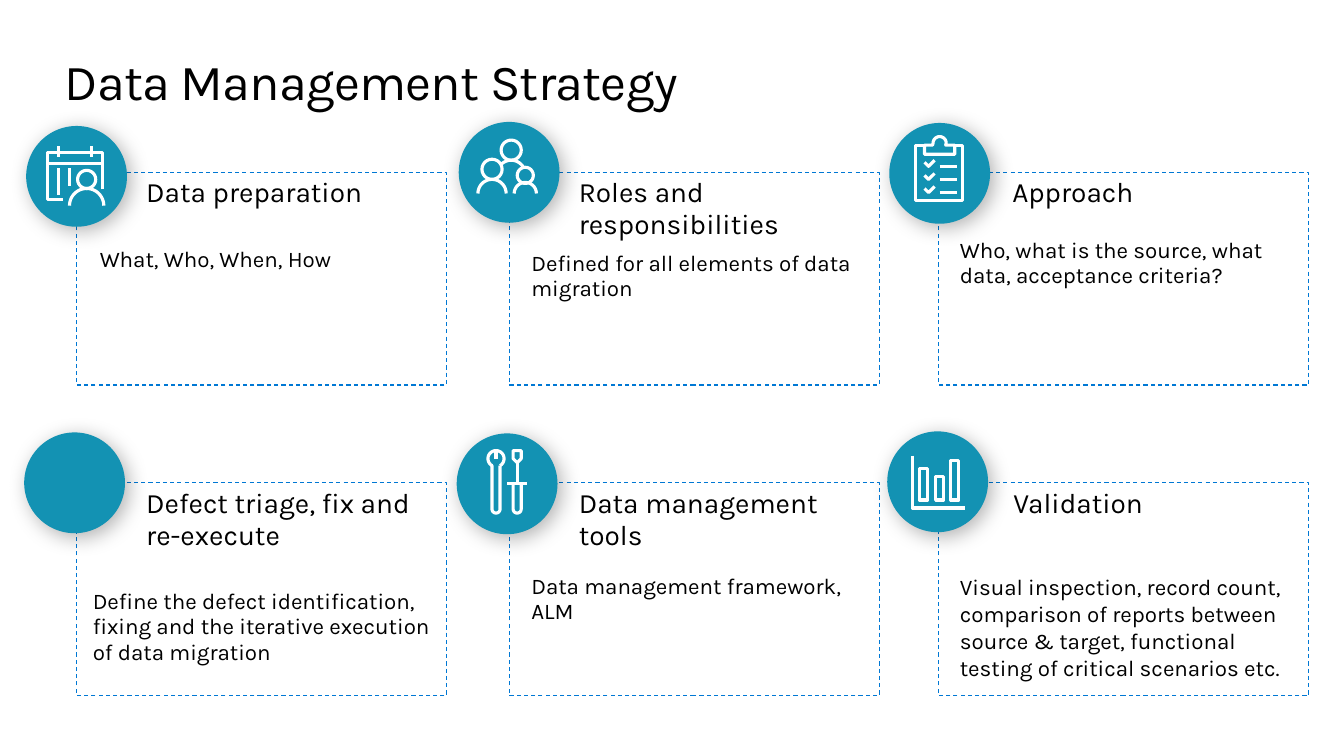
from dataclasses import dataclass
from math import cos, radians, sin

from lxml.etree import SubElement
from pptx import Presentation
from pptx.dml.color import RGBColor
from pptx.enum.dml import MSO_LINE_DASH_STYLE as Dash
from pptx.enum.shapes import MSO_SHAPE as Shape
from pptx.enum.text import MSO_ANCHOR as Anchor, MSO_AUTO_SIZE as AutoSize, PP_ALIGN as Align
from pptx.oxml.ns import qn
from pptx.util import Emu, Pt


@dataclass(frozen=True)
class Theme:
    font: str = "Karla"
    ink: str = "000000"
    border: str = "0078D4"
    disc: str = "1392B3"
    icon: str = "FFFFFF"
    title: int = 36
    heading: int = 20
    body: int = 16
    border_width: float = 0.75
    icon_width: float = 2.25


THEME = Theme()
COLUMNS, ROWS = (76, 505, 931), (171, 479)
CARD_W, CARD_H, DISC = 367, 211, 100


def px(n):
    """100 px to the inch."""
    return Emu(round(n * 9144))


def rgb(code):
    return RGBColor.from_string(code)


# Icon strokes, in px from the corner of the disc
def arc(cx, cy, r, start=0, end=360):
    angles = [radians(start + (end - start) * i / 24) for i in range(25)]
    return [(cx + r * cos(a), cy - r * sin(a)) for a in angles]


def calendar_icon():
    return [
        [(43, 42), (43, 60)], [(32, 42), (32, 68)],
        [(32, 20), (32, 31)], [(65, 20), (65, 31)], [(21, 37), (76, 37)],
        [(76, 63), (76, 26), (21, 26), (21, 73), (37, 73)],
        arc(60, 53, 9), arc(60, 79, 17, 0, 180),
    ]


def people_icon():
    heads = [arc(33, 47, 10), arc(52, 28, 10), arc(66, 53, 8)]
    shoulders = [arc(33, 71, 14, 0, 180), arc(52, 52, 14, 30, 138), arc(66, 71, 11, 0, 180)]
    return heads + shoulders


def checklist_icon():
    clip = arc(50, 20, 6.5, 0, 180) + [(43, 22), (35, 22), (35, 31), (65, 31),
                                       (65, 22), (56, 22), (56.5, 20)]
    board = [(35, 22), (26, 22), (26, 77), (73, 77), (73, 22), (65, 22)]
    strokes = [clip, board]
    for y in (43, 56, 69):
        strokes += [[(50, y), (67, y)], [(35, y - 4), (39, y), (45, y - 6)]]
    return strokes


def tools_icon():
    wrench = [(43, 32), (43, 75), *arc(39, 75, 4, 0, -180), (35, 32), *arc(39, 25, 8, 240, -60)]
    handle = [(64, 50), *arc(60, 75, 4, 0, -180), (56, 50)]
    blade = [(64, 17), (56, 17), (56, 25), (60, 29), (64, 25), (64, 17)]
    return [wrench, handle, blade, [(39, 17), (39, 25)],
            [(50, 50), (70, 50)], [(60, 50), (60, 28)]]


def chart_icon():
    bars = [[(x, 68), (x, top), (x + 8, top), (x + 8, 68), (x, 68)]
            for x, top in ((32, 37), (48, 45), (63, 29))]
    return bars + [[(25, 24), (25, 76), (77, 76)]]


# Heading, heading x, disc offset, icon, body, body box and line spacing;
# every offset is taken from the corner of the card
CARDS = [
    ("Data preparation", 69, (-50, -46), calendar_icon,
     "What, Who, When, How", (23, 74, 320, 26), 0.95),
    ("Roles and responsibilities", 69, (-50, -50), people_icon,
     "Defined for all elements of data migration", (22, 78, 322, 51), 0.95),
    ("Approach", 73, (-49, -49), checklist_icon,
     "Who, what is the source, what data, acceptance criteria?", (21, 65, 331, 51), 0.95),
    ("Defect triage, fix and re-execute", 69, (-52, -50), None,
     "Define the defect identification, fixing and the iterative execution of data migration",
     (16, 105, 335, 102), 0.95),
    ("Data management tools", 69, (-52, -49), tools_icon,
     "Data management framework, ALM", (22, 90, 336, 51), 0.95),
    ("Validation", 74, (-51, -51), chart_icon,
     "Visual inspection, record count, comparison of reports between source & target, "
     "functional testing of critical scenarios etc.", (21, 90, 336, 108), 1.0),
]


def write(sp, text, size, spacing=1.0, tracking=None):
    tf = sp.text_frame
    tf.word_wrap = True
    tf.auto_size = AutoSize.SHAPE_TO_FIT_TEXT
    tf.vertical_anchor = Anchor.TOP
    tf.margin_left = tf.margin_top = tf.margin_right = tf.margin_bottom = 0
    p = tf.paragraphs[0]
    p.alignment = Align.LEFT
    p.line_spacing = spacing
    r = p.add_run()
    r.text = text
    r.font.name = THEME.font
    r.font.size = Pt(size)
    r.font.color.rgb = rgb(THEME.ink)
    if tracking is not None:
        r.font._element.set("spc", str(round(tracking * 100)))


def add_text(s, box, text, **fmt):
    write(s.shapes.add_textbox(*map(px, box)), text, **fmt)


def add_title(s, box, text):
    sp = s.shapes.title
    sp.left, sp.top, sp.width, sp.height = map(px, box)
    write(sp, text, THEME.title, tracking=-0.5)


def add_icon(s, x, y, strokes):
    outlines = [[(px(a), px(b)) for a, b in stroke] for stroke in strokes]
    builder = s.shapes.build_freeform(*outlines[0][0], scale=1.0)
    for i, (start, *rest) in enumerate(outlines):
        if i:
            builder.move_to(*start)
        builder.add_line_segments(rest, close=False)
    sp = builder.convert_to_shape(px(x), px(y))
    sp.shadow.inherit = False
    sp.fill.background()
    sp.line.color.rgb = rgb(THEME.icon)
    sp.line.width = Pt(THEME.icon_width)


def add_disc(s, x, y, icon):
    sp = s.shapes.add_shape(Shape.OVAL, px(x), px(y), px(DISC), px(DISC))
    sp.shadow.inherit = False
    sp.fill.solid()
    sp.fill.fore_color.rgb = rgb(THEME.disc)
    sp.line.fill.background()
    # Soft shadow towards the lower right
    effects = sp._element.spPr.find(qn("a:effectLst"))
    shadow = SubElement(effects, qn("a:outerShdw"), blurRad=str(Pt(15)), dist=str(Pt(4)),
                        dir=str(45 * 60000), algn="tl", rotWithShape="0")
    color = SubElement(shadow, qn("a:srgbClr"), val=THEME.ink)
    SubElement(color, qn("a:alpha"), val="30000")
    if icon:
        add_icon(s, x, y, icon())


def add_card(s, x, y, heading, heading_x, disc, icon, body, body_box, spacing):
    # Dashed frame
    sp = s.shapes.add_shape(Shape.RECTANGLE, px(x), px(y), px(CARD_W), px(CARD_H))
    sp.shadow.inherit = False
    sp.fill.background()
    sp.line.color.rgb = rgb(THEME.border)
    sp.line.width = Pt(THEME.border_width)
    sp.line.dash_style = Dash.DASH
    # Disc and texts
    add_disc(s, x + disc[0], y + disc[1], icon)
    add_text(s, (x + heading_x, y + 5, CARD_W - heading_x, 32), heading,
             size=THEME.heading, spacing=0.95)
    dx, dy, w, h = body_box
    add_text(s, (x + dx, y + dy, w, h), body, size=THEME.body, spacing=spacing)


def main():
    prs = Presentation()
    prs.slide_width, prs.slide_height = px(1333), px(750)
    s = prs.slides.add_slide(prs.slide_layouts[5])
    add_title(s, (64, 50, 1205, 61), "Data Management Strategy")
    for i, card in enumerate(CARDS):
        row, col = divmod(i, len(COLUMNS))
        add_card(s, COLUMNS[col], ROWS[row], *card)
    prs.save("out.pptx")


if __name__ == "__main__":
    main()
